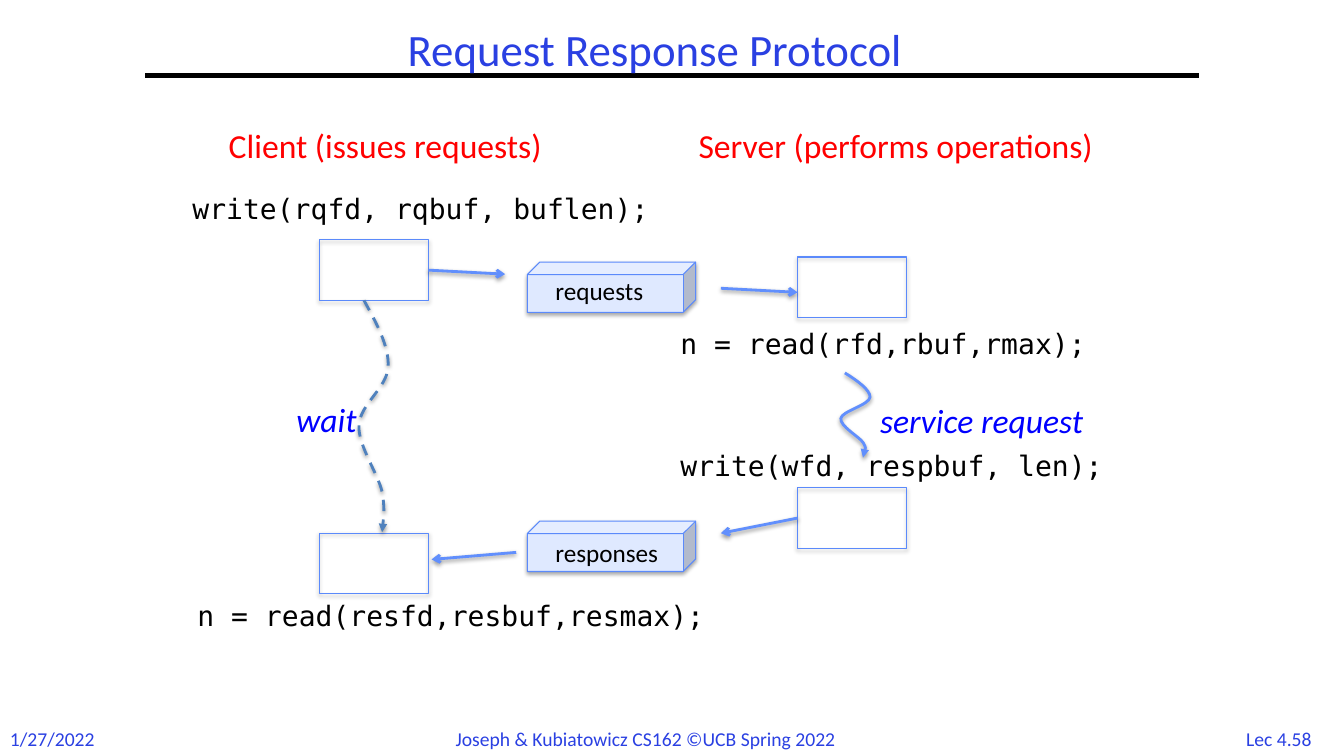
"""Builds the Request Response Protocol slide."""
from lxml.etree import SubElement
from pptx import Presentation
from pptx.dml.color import RGBColor
from pptx.enum.dml import MSO_LINE_DASH_STYLE as Dash
from pptx.enum.shapes import MSO_CONNECTOR as Connector, MSO_SHAPE as Shape
from pptx.enum.text import MSO_ANCHOR as Anchor, PP_ALIGN as Align
from pptx.oxml.ns import qn
from pptx.util import Inches, Pt

COLORS = {
    "title": "2A40E2", "rule": "000000", "code": "000000", "heading": "FF0000",
    "action": "0000FF", "arrow": "618FFD", "wait": "4F81BD",
    "outline": "5B8AFB", "message": "DFE9FF",
}
FORMATS = {
    "title": {"name": "Calibri", "size": Pt(32)},
    "footer": {"name": "Calibri", "size": Pt(14)},
    "heading": {"name": "Calibri", "size": Pt(24)},
    "action": {"name": "Calibri", "size": Pt(24), "italic": True},
    "message": {"name": "Calibri", "size": Pt(18)},
    "code": {"name": "DejaVu Sans Mono", "size": Pt(20)},
}
TEXT_COLORS = {"footer": "title", "message": "code"}


def rgb(name):
    return RGBColor.from_string(COLORS[name])


class Diagram:
    """Holds the style and the current slide."""

    def __init__(self, slide):
        self.slide = slide
        self.shapes = slide.shapes

    def text(self, words, left, top, width, height, style, **paragraph_format):
        box = self.shapes.add_textbox(*map(Inches, (left, top, width, height)))
        frame = box.text_frame
        frame.word_wrap = True
        frame.vertical_anchor = Anchor.MIDDLE if style == "title" else Anchor.TOP
        paragraph = frame.paragraphs[0]
        for attribute, value in paragraph_format.items():
            setattr(paragraph, attribute, value)
        run = paragraph.add_run()
        run.text = words
        for attribute, value in FORMATS[style].items():
            setattr(run.font, attribute, value)
        run.font.color.rgb = rgb(TEXT_COLORS.get(style, style))

    def stroke(self, item, color, width):
        item.line.color.rgb = rgb(color)
        item.line.width = Pt(width)

    def shadow(self, effects, opacity, distance):
        cast = SubElement(effects, qn("a:outerShdw"), blurRad=str(Pt(3.1)),
                          dist=str(Pt(distance)), dir="5400000", rotWithShape="0")
        black = SubElement(cast, qn("a:srgbClr"), val="000000")
        SubElement(black, qn("a:alpha"), val=str(opacity * 1000))

    def head(self, item, kind):
        outline = item.element.spPr.find(qn("a:ln"))
        SubElement(outline, qn("a:tailEnd"), type=kind)

    def block(self, preset, left, top, width, height, fill=None):
        block = self.shapes.add_shape(preset, *map(Inches, (left, top, width, height)))
        if fill:
            block.fill.solid()
            block.fill.fore_color.rgb = rgb(fill)
        else:
            block.fill.background()
        self.stroke(block, "outline", 0.75)
        block.shadow.inherit = False
        self.shadow(block.element.spPr.find(qn("a:effectLst")), 35, 1.8)
        return block

    def buffer(self, left, top):
        return self.block(Shape.RECTANGLE, left, top, 1.08, 0.6)

    def message(self, words, top, text_top, text_width):
        self.block(Shape.CUBE, 5.23, top, 1.67, 0.5, "message")
        self.text(words, 5.41, text_top, text_width, 0.4, "message")

    def line(self, start, end, color, width):
        line = self.shapes.add_connector(
            Connector.STRAIGHT, *map(Inches, (*start, *end)))
        self.stroke(line, color, width)
        return line, SubElement(line.element.spPr, qn("a:effectLst"))

    def arrow(self, start, end, source=None, side=None):
        arrow, effects = self.line(start, end, "arrow", 2)
        if source:
            arrow.begin_connect(source, side)
        self.head(arrow, "arrow")
        self.shadow(effects, 38, 1.6)

    def curve(self, points, color, dash=None):
        (start_x, start_y), *rest = [tuple(map(Inches, point)) for point in points]
        builder = self.shapes.build_freeform(start_x, start_y)
        builder.add_line_segments(rest, close=False)
        curve = builder.convert_to_shape()
        segments = list(curve.element.iter(qn("a:lnTo")))
        for first in range(0, len(segments), 3):
            trio = segments[first:first + 3]
            bezier = SubElement(trio[0].getparent(), qn("a:cubicBezTo"))
            for segment in trio:
                bezier.append(segment[0])
                segment.getparent().remove(segment)
        curve.fill.background()
        self.stroke(curve, color, 2)
        if dash:
            curve.line.dash_style = dash
        self.head(curve, "triangle")
        curve.shadow.inherit = False
        self.shadow(curve.element.spPr.find(qn("a:effectLst")), 38, 1.6)


def main():
    deck = Presentation()
    deck.slide_width, deck.slide_height = Inches(13.33), Inches(7.5)
    diagram = Diagram(deck.slides.add_slide(deck.slide_layouts[6]))

    diagram.text("Lec 4.58", 12.2, 7.16, 0.97, 0.34, "footer", alignment=Align.CENTER)
    diagram.text("1/27/2022", 0, 7.16, 1.07, 0.34, "footer")
    diagram.text("Joseph & Kubiatowicz CS162 ©UCB Spring 2022",
                 4.42, 7.16, 4.5, 0.34, "footer")
    diagram.line((1.44, 0.75), (11.89, 0.75), "rule", 3)
    diagram.text("Request Response Protocol", 2.17, 0.04, 8.65, 0.96, "title",
                 alignment=Align.CENTER, line_spacing=0.9)
    diagram.text("Client (issues requests)", 2.17, 1.19, 3.72, 0.5, "heading")
    diagram.text("Server (performs operations)", 6.83, 1.19, 4.51, 0.5, "heading")

    client_request = diagram.buffer(3.17, 2.38)
    diagram.buffer(7.91, 2.55)
    diagram.buffer(3.17, 5.29)
    server_response = diagram.buffer(7.91, 4.84)
    diagram.message("requests", 2.6, 2.68, 1.17)
    diagram.message("responses", 5.17, 5.28, 1.37)

    diagram.arrow((4.25, 2.68), (5.01, 2.72), client_request, 3)
    diagram.arrow((7.15, 2.86), (7.91, 2.9))
    diagram.arrow((7.91, 5.14), (7.15, 5.29), server_response, 1)
    diagram.arrow((5.12, 5.48), (4.28, 5.55))

    for call, left, top, width in (
        ("write(rqfd, rqbuf, buflen);", 1.81, 1.85, 4.91),
        ("n = read(rfd,rbuf,rmax);", 6.65, 3.19, 4.86),
        ("write(wfd, respbuf, len);", 6.65, 4.4, 4.91),
        ("n = read(resfd,resbuf,resmax);", 1.86, 5.89, 5.48),
    ):
        diagram.text(call, left, top, width, 0.44, "code")

    diagram.curve([(8.38, 3.7), (8.51, 3.78), (8.63, 3.87), (8.63, 3.94),
                   (8.62, 4.02), (8.35, 4.08), (8.34, 4.15),
                   (8.33, 4.23), (8.52, 4.33), (8.56, 4.39),
                   (8.6, 4.46), (8.56, 4.54), (8.56, 4.54)], "arrow")
    diagram.text("service request", 8.63, 3.92, 2.49, 0.5, "action")
    diagram.curve([(3.61, 2.98), (3.73, 3.2), (3.86, 3.43), (3.85, 3.64),
                   (3.84, 3.85), (3.57, 4.01), (3.56, 4.22),
                   (3.55, 4.42), (3.75, 4.7), (3.79, 4.88),
                   (3.82, 5.06), (3.79, 5.28), (3.79, 5.28)], "wait", Dash.DASH)
    diagram.text("wait", 2.84, 3.91, 0.85, 0.5, "action")

    deck.save("out.pptx")


if __name__ == "__main__":
    main()
